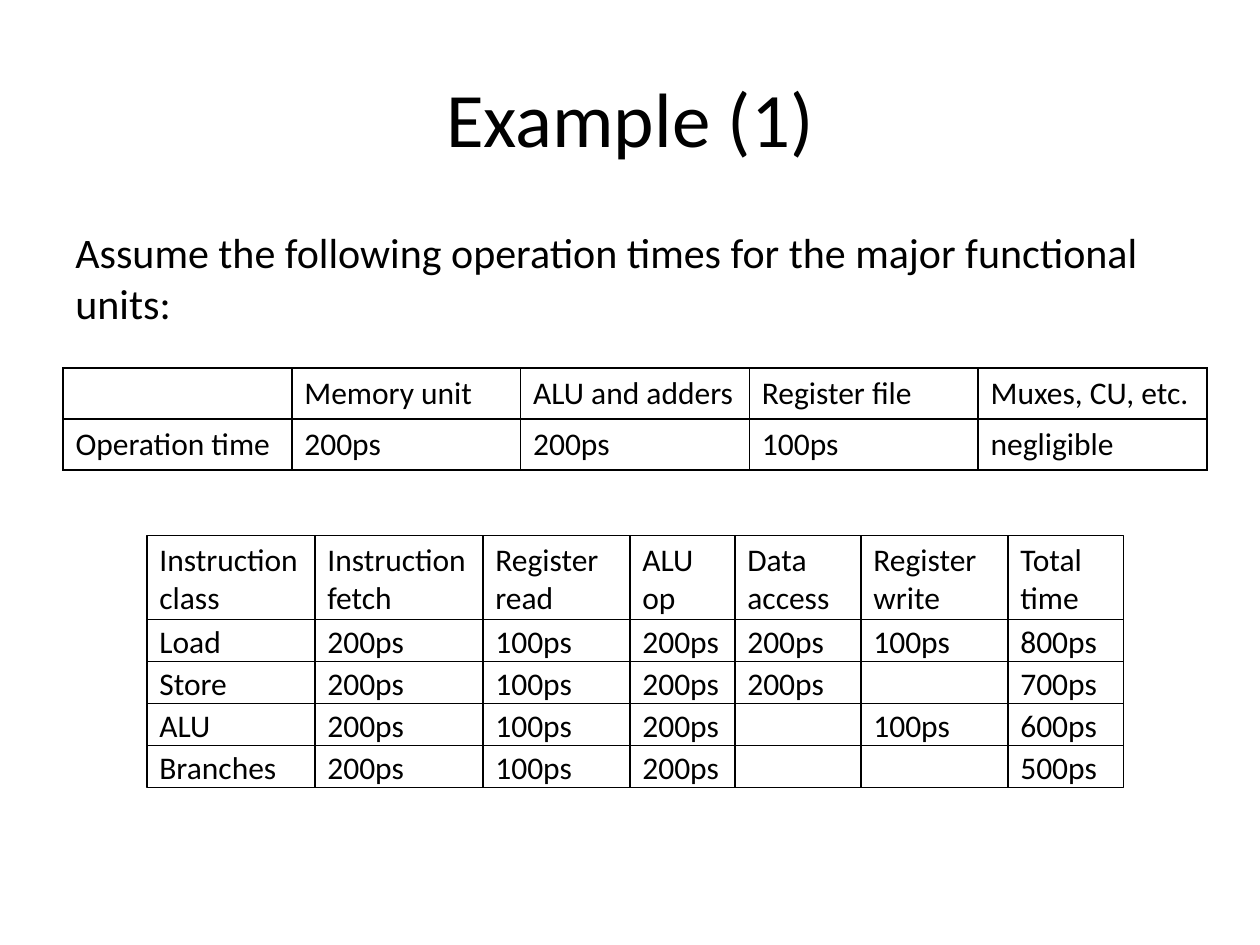
from pptx import Presentation
from pptx.dml.color import RGBColor
from pptx.enum.shapes import MSO_SHAPE
from pptx.enum.text import MSO_ANCHOR, PP_ALIGN
from pptx.oxml import parse_xml
from pptx.oxml.ns import nsdecls
from pptx.util import Inches, Pt

INK = "000000"
UNIT = 1 / 12  # the instruction grid is laid out in twelfths of an inch


def color(code):
    return RGBColor.from_string(code)


class Deck:
    font, ink, line = "Calibri", INK, 1

    def __init__(self, wide, high):
        self.file = Presentation()
        self.file.slide_width, self.file.slide_height = Inches(wide), Inches(high)
        self.slide = self.file.slides.add_slide(self.file.slide_layouts[6])

    def label(self, frame, text, size, align=PP_ALIGN.LEFT):
        frame.word_wrap = True
        para = frame.paragraphs[0]
        para.text = text
        para.alignment = align
        para.font.name, para.font.size = self.font, Pt(size)
        para.font.color.rgb = color(self.ink)

    def text(self, box, text, size, align=PP_ALIGN.LEFT, anchor=MSO_ANCHOR.TOP):
        frame = self.slide.shapes.add_textbox(*map(Inches, box)).text_frame
        frame.vertical_anchor = anchor
        self.label(frame, text, size, align)

    def border(self, cell):
        props = cell._tc.get_or_add_tcPr()
        for at, side in enumerate(("lnL", "lnR", "lnT", "lnB")):
            props.insert(at, parse_xml(
                f'<a:{side} {nsdecls("a")} w="{Pt(self.line)}"><a:solidFill>'
                f'<a:srgbClr val="{self.ink}"/></a:solidFill></a:{side}>'))

    def table(self, box, rows, size):
        shape = self.slide.shapes.add_table(len(rows), len(rows[0]), *map(Inches, box))
        table = shape.table
        table.first_row = table.horz_banding = False
        for r, row in enumerate(rows):
            for c, text in enumerate(row):
                cell = table.cell(r, c)
                cell.fill.background()
                self.border(cell)
                self.label(cell.text_frame, text, size)

    def rect(self, group, box, text, size):
        shape = group.shapes.add_shape(MSO_SHAPE.RECTANGLE, *map(Inches, box))
        shape.shadow.inherit = False
        shape.fill.background()
        shape.line.color.rgb = color(self.ink)
        shape.line.width = Pt(self.line)
        shape.text_frame.vertical_anchor = MSO_ANCHOR.MIDDLE
        self.label(shape.text_frame, text, size)

    def grid(self, left, top, cols, highs, rows, size):
        group = self.slide.shapes.add_group_shape()
        for high, row in zip(highs, rows):
            x = left
            for wide, text in zip(cols, row):
                box = [n * UNIT for n in (x, top, wide, high)]
                self.rect(group, box, text, size)
                x += wide
            top += high


def main():
    deck = Deck(10, 7.5)

    # Title and lead
    deck.text((0.5, 0.3, 9, 1.25), "Example (1)", 44, PP_ALIGN.CENTER, MSO_ANCHOR.MIDDLE)
    deck.text((0.5, 1.75, 9, 1),
              "Assume the following operation times for the major functional units:", 24)

    # Time of each unit
    deck.table((0.5, 2.92, 9.08, 0.81), [
        ["", "Memory unit", "ALU and adders", "Register file", "Muxes, CU, etc."],
        ["Operation time", "200ps", "200ps", "100ps", "negligible"],
    ], 18)

    # Time of each instruction class
    deck.grid(14, 51, [16, 16, 14, 10, 12, 14, 11], [8, 4, 4, 4, 4], [
        ["Instruction class", "Instruction fetch", "Register read", "ALU op",
         "Data access", "Register write", "Total time"],
        ["Load", "200ps", "100ps", "200ps", "200ps", "100ps", "800ps"],
        ["Store", "200ps", "100ps", "200ps", "200ps", "", "700ps"],
        ["ALU", "200ps", "100ps", "200ps", "", "100ps", "600ps"],
        ["Branches", "200ps", "100ps", "200ps", "", "", "500ps"],
    ], 18)

    deck.file.save("out.pptx")


if __name__ == "__main__":
    main()
